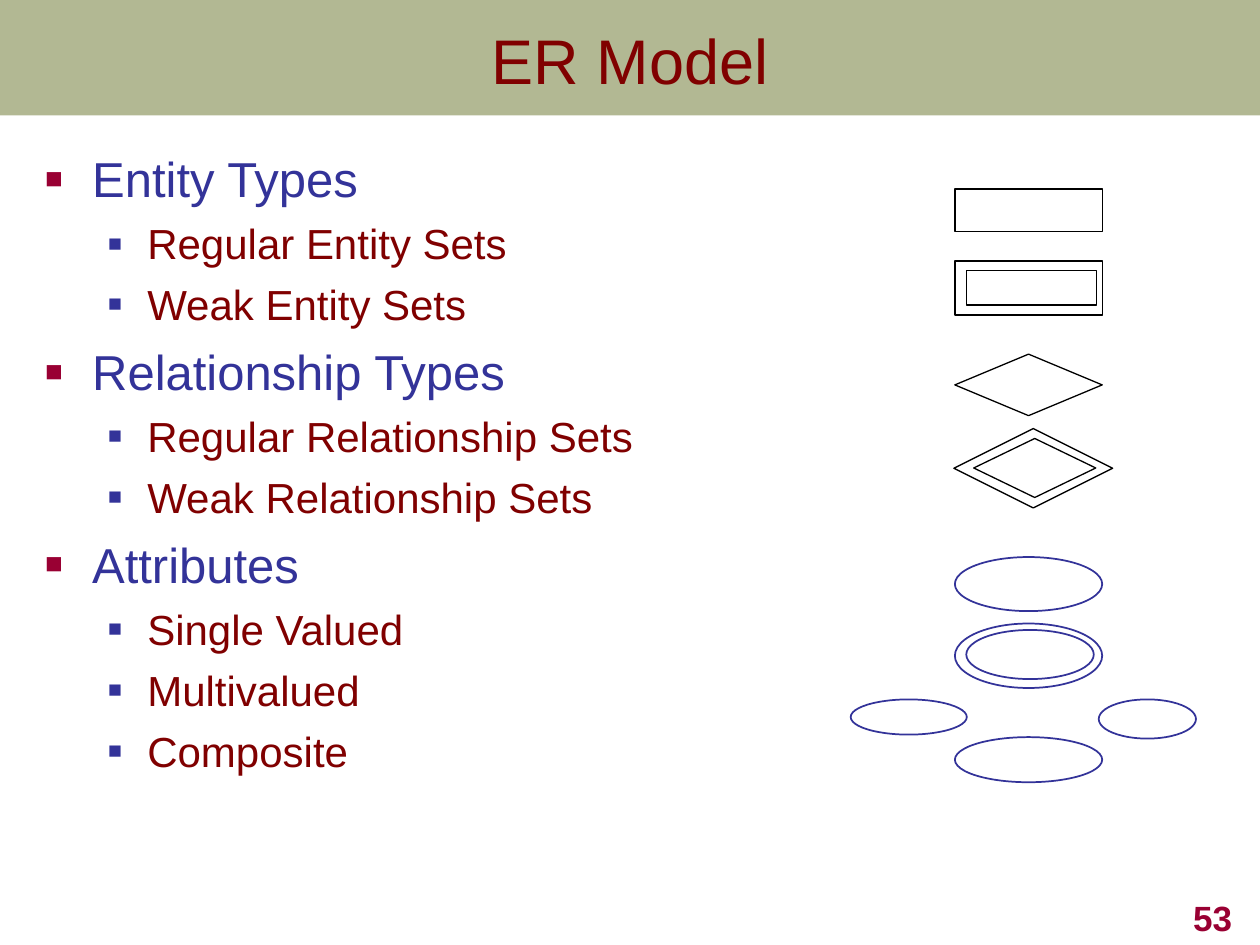
import dataclasses
import lxml.etree
import pptx
import pptx.dml.color
import pptx.enum.shapes
import pptx.enum.text
import pptx.oxml.ns
import pptx.util

Cm = pptx.util.Cm
Pt = pptx.util.Pt
Kind = pptx.enum.shapes.MSO_SHAPE
Align = pptx.enum.text.PP_ALIGN
Anchor = pptx.enum.text.MSO_ANCHOR
qn = pptx.oxml.ns.qn


@dataclasses.dataclass(frozen=True)
class Theme:
    font: str = "Arial"
    olive: str = "677228"
    maroon: str = "800000"
    blue: str = "333399"
    wine: str = "990033"
    black: str = "000000"
    title: int = 36
    topic: int = 28
    item: int = 24
    page: int = 20


THEME = Theme()


@dataclasses.dataclass(frozen=True)
class Box:
    left: float
    top: float
    width: float
    height: float

    def place(self) -> tuple:
        return Cm(self.left), Cm(self.top), Cm(self.width), Cm(self.height)


@dataclasses.dataclass(frozen=True)
class Level:
    size: int
    color: str
    mark: str
    scale: int
    margin: float
    hang: float
    gap: int


@dataclasses.dataclass(frozen=True)
class Symbol:
    kind: Kind
    box: Box


TOPIC = Level(THEME.topic, THEME.blue, THEME.wine, 60, 0.95, 0.95, 7)
ITEM = Level(THEME.item, THEME.maroon, THEME.blue, 55, 2.06, 0.79, 6)
LINES = {
    Kind.RECTANGLE: (THEME.black, 0.75),
    Kind.DIAMOND: (THEME.black, 0.75),
    Kind.OVAL: (THEME.blue, 1),
}
OUTLINE = {
    "Entity Types": ["Regular Entity Sets", "Weak Entity Sets"],
    "Relationship Types": ["Regular Relationship Sets", "Weak Relationship Sets"],
    "Attributes": ["Single Valued", "Multivalued", "Composite"],
}
LEFT, WIDTH = 19.25, 2.97
SYMBOLS = [
    Symbol(Kind.RECTANGLE, Box(LEFT, 3.81, WIDTH, 0.86)),
    Symbol(Kind.RECTANGLE, Box(LEFT, 5.26, WIDTH, 1.09)),
    Symbol(Kind.RECTANGLE, Box(19.48, 5.46, 2.62, 0.69)),
    Symbol(Kind.DIAMOND, Box(LEFT, 7.14, WIDTH, 1.24)),
    Symbol(Kind.DIAMOND, Box(19.63, 8.84, 2.46, 1.19)),
    Symbol(Kind.DIAMOND, Box(19.23, 8.64, 3.2, 1.6)),
    Symbol(Kind.OVAL, Box(LEFT, 11.23, WIDTH, 1.09)),
    Symbol(Kind.OVAL, Box(19.48, 12.7, 2.57, 0.99)),
    Symbol(Kind.OVAL, Box(LEFT, 12.57, WIDTH, 1.3)),
    Symbol(Kind.OVAL, Box(LEFT, 14.86, WIDTH, 0.91)),
    Symbol(Kind.OVAL, Box(22.15, 14.1, 1.96, 0.79)),
    Symbol(Kind.OVAL, Box(17.15, 14.1, 2.34, 0.71)),
]


def shade(code: str) -> pptx.dml.color.RGBColor:
    return pptx.dml.color.RGBColor.from_string(code)


def style(para, size: int, color: str, bold: bool = False) -> None:
    for run in para.runs:
        run.font.name = THEME.font
        run.font.size = Pt(size)
        run.font.bold = bold
        run.font.color.rgb = shade(color)


def frame(slide, box: Box, anchor: Anchor):
    text = slide.shapes.add_textbox(*box.place()).text_frame
    text.word_wrap = True
    text.vertical_anchor = anchor
    return text


def label(slide, words: str, box: Box, anchor: Anchor, align: Align,
          size: int, color: str, bold: bool = False) -> None:
    text = frame(slide, box, anchor)
    text.text = words
    para = text.paragraphs[0]
    para.alignment = align
    style(para, size, color, bold)


def bullet(para, level: Level) -> None:
    props = para._p.get_or_add_pPr()
    props.set("marL", str(Cm(level.margin)))
    props.set("indent", str(-Cm(level.hang)))
    tint = lxml.etree.SubElement(props, qn("a:buClr"))
    lxml.etree.SubElement(tint, qn("a:srgbClr"), val=level.mark)
    lxml.etree.SubElement(props, qn("a:buSzPct"), val=str(level.scale * 1000))
    lxml.etree.SubElement(props, qn("a:buFont"), typeface=THEME.font)
    lxml.etree.SubElement(props, qn("a:buChar"), char="■")


def outline(slide, box: Box) -> None:
    text = frame(slide, box, Anchor.TOP)
    text.margin_right = 0
    rows = []
    for topic, items in OUTLINE.items():
        rows.append((topic, TOPIC))
        rows.extend((item, ITEM) for item in items)
    for index, (words, level) in enumerate(rows):
        para = text.add_paragraph() if index else text.paragraphs[0]
        para.text = words
        para.level = int(level is ITEM)
        bullet(para, level)
        if index:
            para.space_before = Pt(level.gap)
        style(para, level.size, level.color)


def band(slide, box: Box) -> None:
    shape = slide.shapes.add_shape(Kind.RECTANGLE, *box.place())
    shape.shadow.inherit = False
    shape.fill.solid()
    shape.fill.fore_color.rgb = shade(THEME.olive)
    shape.line.fill.background()
    tint = shape._element.spPr.find(qn("a:solidFill"))[0]
    lxml.etree.SubElement(tint, qn("a:alpha"), val="50000")


def draw(slide, symbol: Symbol) -> None:
    color, weight = LINES[symbol.kind]
    shape = slide.shapes.add_shape(symbol.kind, *symbol.box.place())
    shape.shadow.inherit = False
    shape.fill.background()
    shape.line.color.rgb = shade(color)
    shape.line.width = Pt(weight)


def main() -> None:
    deck = pptx.Presentation()
    deck.slide_width, deck.slide_height = Cm(25.4), Cm(19.05)
    slide = deck.slides.add_slide(deck.slide_layouts[6])
    band(slide, Box(0, 0, 25.4, 2.33))
    label(slide, "ER Model", Box(0, 0, 25.4, 2.39), Anchor.MIDDLE,
          Align.CENTER, THEME.title, THEME.maroon)
    outline(slide, Box(0.66, 2.87, 12.88, 15.24))
    for symbol in SYMBOLS:
        draw(slide, symbol)
    label(slide, "53", Box(19.81, 17.78, 5.28, 1.27), Anchor.BOTTOM,
          Align.RIGHT, THEME.page, THEME.wine, True)
    deck.save("out.pptx")


if __name__ == "__main__":
    main()
